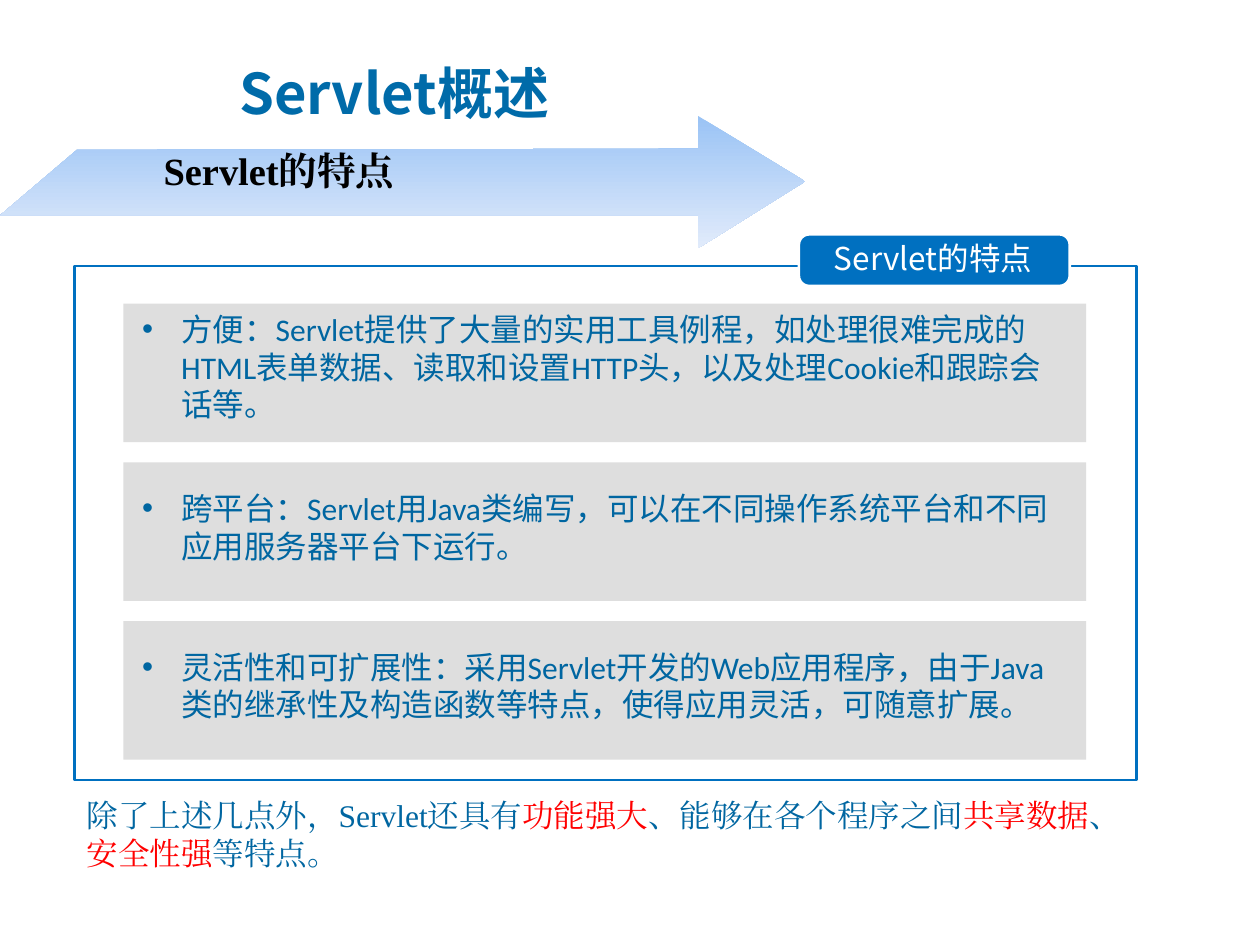
import pptx
import pptx.util
import pptx.dml.color
import pptx.enum.shapes
import pptx.enum.text
import pptx.oxml.ns
from lxml import etree

Inches, Pt = pptx.util.Inches, pptx.util.Pt
SHAPE = pptx.enum.shapes.MSO_SHAPE
ALIGN = pptx.enum.text.PP_ALIGN
ANCHOR = pptx.enum.text.MSO_ANCHOR
qn = pptx.oxml.ns.qn

# Content
COLORS = {"title": "006BA9", "body": "0066A1", "accent": "FF0000", "frame": "0070C0",
          "panel": "DEDEDE", "white": "FFFFFF", "black": "000000",
          "arrow_top": "9AC3F5", "arrow_bottom": "E1EBFB"}
SANS, BODY, SERIF = "Noto Sans CJK SC", "Calibri", "Times New Roman"

TITLE = "Servlet概述"
HEADING = "Servlet的特点"
FEATURES = [  # text, text offset from panel top, text height
    ("方便：Servlet提供了大量的实用工具例程，如处理很难完成的HTML表单数据、"
     "读取和设置HTTP头，以及处理Cookie和跟踪会话等。", 0, 1.18),
    ("跨平台：Servlet用Java类编写，可以在不同操作系统平台和不同应用服务器平台下运行。",
     0.16, 0.71),
    ("灵活性和可扩展性：采用Servlet开发的Web应用程序，由于Java类的继承性及构造函数等特点，"
     "使得应用灵活，可随意扩展。", 0.16, 0.71),
]
SUMMARY = [("除了上述几点外，Servlet还具有", "body"), ("功能强大", "accent"),
           ("、能够在各个程序之间", "body"), ("共享数据", "accent"), ("、", "body"),
           ("安全性强", "accent"), ("等特点。", "body")]
ARROW = [(0.61, 1.19), (5.54, 1.18), (5.54, 0.92), (6.39, 1.44),
         (5.54, 1.97), (5.54, 1.71), (0, 1.71)]
PANEL_TOP, PANEL_HEIGHT, PANEL_PITCH = 2.41, 1.1, 1.26

prs = pptx.Presentation()
prs.slide_width, prs.slide_height = Inches(10), Inches(7.5)
s = prs.slides.add_slide(prs.slide_layouts[6])


def rgb(name):
    return pptx.dml.color.RGBColor.from_string(COLORS[name])


def add_box(kind, at, fill, line=None):
    sp = s.shapes.add_shape(kind, *map(Inches, at))
    sp.shadow.inherit = False
    sp.fill.solid()
    sp.fill.fore_color.rgb = rgb(fill)
    if line:
        sp.line.color.rgb = rgb(line)
        sp.line.width = Pt(1.5)
    else:
        sp.line.fill.background()
    return sp


def add_text(at, runs, size, font, bold=False, frame=None, align=None,
             indent=(0, 0), bullet=None):
    tf = s.shapes.add_textbox(*map(Inches, at)).text_frame
    for name, value in {"word_wrap": True, **(frame or {})}.items():
        setattr(tf, name, value)
    p = tf.paragraphs[0]
    p.alignment = align
    pPr = p._p.get_or_add_pPr()
    pPr.set("marL", str(Inches(indent[0])))
    pPr.set("indent", str(Inches(indent[1])))
    if bullet:
        etree.SubElement(pPr, qn("a:buFont")).set("typeface", "Arial")
        etree.SubElement(pPr, qn("a:buChar")).set("char", bullet)
    for text, color in runs:
        r = p.add_run()
        r.text = text
        for name, value in {"size": Pt(size), "name": font, "bold": bold}.items():
            setattr(r.font, name, value)
        r.font.color.rgb = rgb(color)
        ea = etree.SubElement(r._r.get_or_add_rPr(), qn("a:ea"))
        ea.set("typeface", font)


# Frame with its label
add_box(SHAPE.RECTANGLE, (0.59, 2.11, 8.43, 4.08), "white", "frame")
label = add_box(SHAPE.ROUNDED_RECTANGLE, (6.34, 1.86, 2.15, 0.41), "frame", "white")
label.adjustments[0] = 0.2
add_text((6.29, 1.9, 2.23, 0.35), [(HEADING, "white")], 18, SANS,
         frame={"margin_top": 0}, align=ALIGN.CENTER)

# Feature panels
for i, (text, offset, height) in enumerate(FEATURES):
    top = PANEL_TOP + i * PANEL_PITCH
    add_box(SHAPE.RECTANGLE, (0.98, top, 7.64, PANEL_HEIGHT), "panel")
    add_text((1.03, top + offset, 7.51, height), [(text, "body")], 18, BODY,
             indent=(0.31, -0.31), bullet="•")

# Gradient arrow with heading
points = [(Inches(x), Inches(y)) for x, y in ARROW]
builder = s.shapes.build_freeform(*points[0])
builder.add_line_segments(points[1:], close=True)
arrow = builder.convert_to_shape()
arrow.shadow.inherit = False
arrow.line.fill.background()
arrow.fill.gradient()
arrow.fill.gradient_angle = 270
for stop, name in zip(arrow.fill.gradient_stops, ("arrow_top", "arrow_bottom")):
    stop.color.rgb = rgb(name)
add_text((0.2, 1.12, 4.02, 0.47), [(HEADING, "black")], 22, SERIF, bold=True,
         indent=(1, 0))

# Summary and title
add_text((0.59, 6.27, 8.5, 0.71), SUMMARY, 18, SERIF)
add_text((1.8, 0.43, 6.83, 0.61), [(TITLE, "title")], 32, SANS, bold=True,
         frame={"vertical_anchor": ANCHOR.MIDDLE}, indent=(0.62, -0.62))

prs.save("out.pptx")
